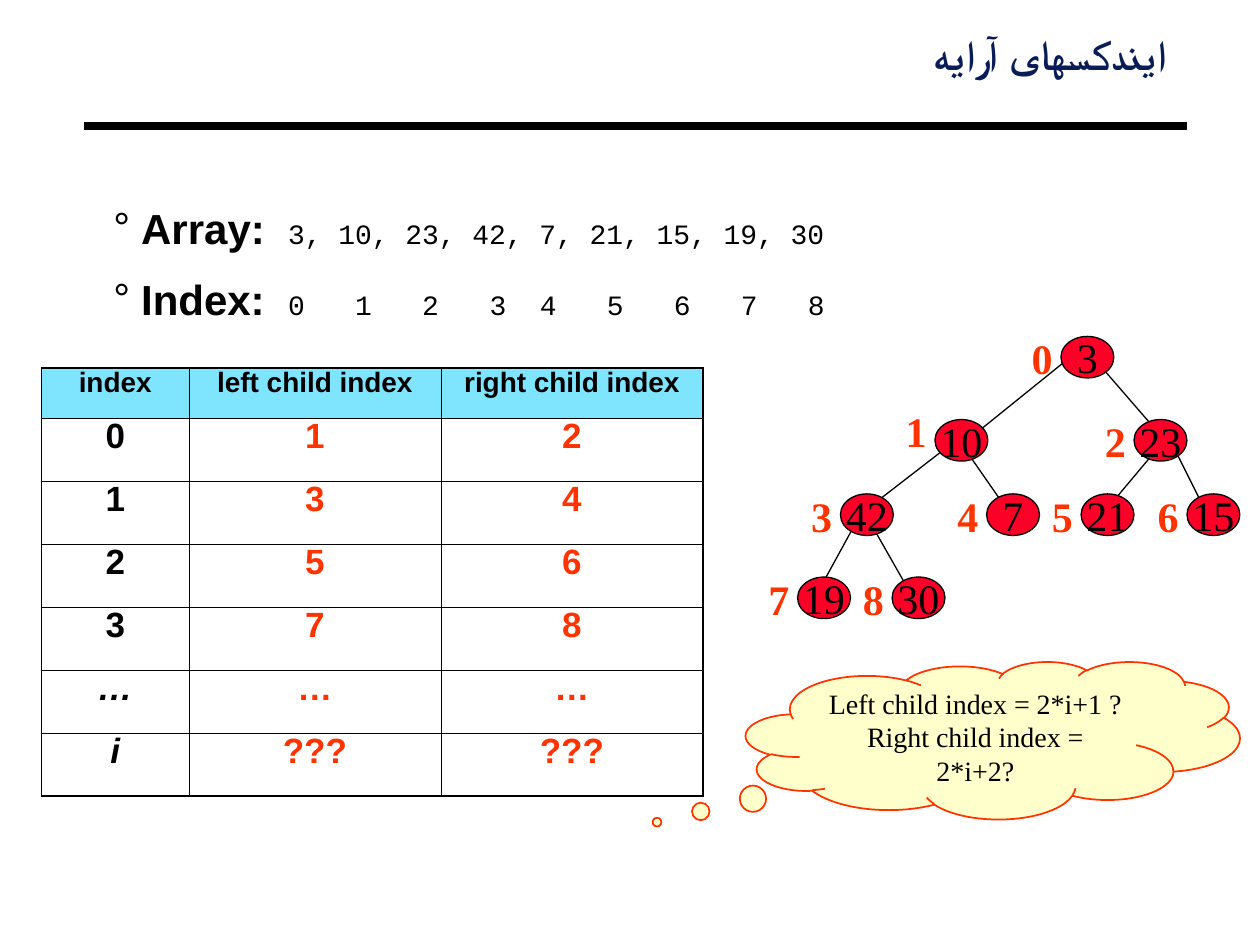
from dataclasses import dataclass
from typing import NamedTuple

from lxml import etree
from pptx import Presentation
from pptx import util as u
from pptx.dml.color import RGBColor
from pptx.enum import shapes, text
from pptx.oxml import ns


@dataclass(frozen=True)
class Theme:
    black: str = "000000"
    title: str = "081D58"
    node: str = "FC0128"
    accent: str = "FF3300"
    header: str = "00CCFF"
    cloud: str = "FFFFCC"
    sans: str = "Arial"
    serif: str = "Times New Roman"
    mono: str = "Courier New"
    large: int = 24
    medium: int = 20
    small: int = 16


class Node(NamedTuple):
    value: int
    left: float
    top: float
    label_rise: float = 0.08


class Edge(NamedTuple):
    x1: float
    y1: float
    x2: float
    y2: float


class Span(NamedTuple):
    words: str
    tracking: float = 0


THEME = Theme()
NODE_W, NODE_H = 0.42, 0.33

# Listed in array order, so a node's place is its index.
NODES = [
    Node(3, 8.42, 2.67), Node(10, 7.42, 3.33, 0.16), Node(23, 9, 3.33),
    Node(42, 6.67, 3.92), Node(7, 7.83, 3.92), Node(21, 8.58, 3.92),
    Node(15, 9.42, 3.92), Node(19, 6.33, 4.58), Node(30, 7.08, 4.58),
]
EDGES = [
    Edge(8.5, 2.83, 7.67, 3.5), Edge(7.58, 3.5, 6.83, 4.08),
    Edge(6.83, 4.08, 6.42, 4.83), Edge(6.92, 4.17, 7.25, 4.75),
    Edge(7.67, 3.58, 8.08, 4.17), Edge(8.67, 2.83, 9.25, 3.5),
    Edge(9.17, 3.58, 8.75, 4.08), Edge(9.33, 3.58, 9.58, 4.08),
]
LISTS = [
    ("Array:", [Span("3, 10, 23, 42, 7, 21, 15, 19, 30")]),
    ("Index:", [Span("0 1 2 ", 9.6), Span("3 ", 4.8), Span("4 5 6 7 8", 9.6)]),
]
ROWS = [
    ("index", "left child index", "right child index"),
    *((str(i), str(2 * i + 1), str(2 * i + 2)) for i in range(4)),
    ("…", "…", "…"),
    ("i", "???", "???"),
]
COLUMN_WIDTHS = (1.17, 2, 2.08)
HEADER_HEIGHT, ROW_HEIGHT = 0.4, 0.5


def style(font, face: str, size: int, color: str, bold: bool = False) -> None:
    font.name, font.size, font.bold = face, u.Pt(size), bold
    font.color.rgb = RGBColor.from_string(color)


def set_frame(frame, anchor, x: float = 0.1, y: float = 0.05, wrap: bool = True) -> None:
    frame.auto_size = text.MSO_AUTO_SIZE.NONE
    frame.word_wrap, frame.vertical_anchor = wrap, anchor
    frame.margin_left = frame.margin_right = u.Inches(x)
    frame.margin_top = frame.margin_bottom = u.Inches(y)


def place(shape, left: float, top: float, width: float, height: float) -> None:
    shape.left, shape.top = u.Inches(left), u.Inches(top)
    shape.width, shape.height = u.Inches(width), u.Inches(height)


def add_line(page, edge: Edge, weight: float) -> None:
    line = page.shapes.add_connector(
        shapes.MSO_CONNECTOR.STRAIGHT, *(u.Inches(v) for v in edge))
    line.line.color.rgb = RGBColor.from_string(THEME.black)
    line.line.width = u.Pt(weight)
    etree.SubElement(line._element.spPr, ns.qn("a:effectLst"))


def add_filled(page, kind, area: tuple, fill: str, outline: str, weight: float):
    shape = page.shapes.add_shape(kind, *(u.Inches(v) for v in area))
    shape.shadow.inherit = False
    shape.fill.solid()
    shape.fill.fore_color.rgb = RGBColor.from_string(fill)
    shape.line.color.rgb = RGBColor.from_string(outline)
    shape.line.width = u.Pt(weight)
    return shape


def write(frame, words: str, align, face: str, size: int, color: str, bold: bool = False):
    frame.text = words
    para = frame.paragraphs[0]
    para.alignment = align
    style(para.runs[0].font, face, size, color, bold)
    return para


def fill_title(page) -> None:
    title = page.shapes.title
    place(title, 0.83, 0.25, 8.5, 0.42)
    set_frame(title.text_frame, text.MSO_ANCHOR.TOP, 0.07, 0.03)
    para = write(title.text_frame, "ایندکسهای آرایه", text.PP_ALIGN.RIGHT,
                 THEME.sans, THEME.large, THEME.title, True)
    para.line_spacing = 0.87
    para._p.get_or_add_pPr().set("rtl", "1")
    properties = para.runs[0]._r.get_or_add_rPr()
    etree.SubElement(properties, ns.qn("a:cs"), typeface=THEME.sans)


def add_span(para, span: Span, face: str, size: int, bold: bool) -> None:
    run = para.add_run()
    run.text = span.words
    style(run.font, face, size, THEME.black, bold)
    if span.tracking:
        run._r.get_or_add_rPr().set("spc", str(round(span.tracking * 100)))


def fill_body(page) -> None:
    body = page.placeholders[1]
    place(body, 0.83, 1.5, 8.5, 4.5)
    frame = body.text_frame
    set_frame(frame, text.MSO_ANCHOR.TOP, 0.07, 0.03)
    for i, (heading, numbers) in enumerate(LISTS):
        para = frame.add_paragraph() if i else frame.paragraphs[0]
        para.line_spacing, para.space_before = 1.2, u.Pt(6 if i else 0)
        properties = para._p.get_or_add_pPr()
        properties.set("marL", str(u.Inches(0.22)))
        properties.set("indent", str(u.Inches(-0.22)))
        color = etree.SubElement(properties, ns.qn("a:buClr"))
        etree.SubElement(color, ns.qn("a:srgbClr"), val=THEME.black)
        etree.SubElement(properties, ns.qn("a:buChar"), char="°")
        for span in (Span(heading), Span(" ", 6.67)):
            add_span(para, span, THEME.sans, THEME.large, True)
        for span in numbers:
            add_span(para, span, THEME.mono, THEME.small, False)


def add_node(page, index: int, node: Node) -> None:
    area = (node.left, node.top, NODE_W, NODE_H)
    oval = add_filled(page, shapes.MSO_SHAPE.OVAL, area, THEME.node, THEME.black, 0.75)
    set_frame(oval.text_frame, text.MSO_ANCHOR.MIDDLE, wrap=False)
    write(oval.text_frame, str(node.value), text.PP_ALIGN.CENTER,
          THEME.serif, THEME.large, THEME.black)
    label = page.shapes.add_textbox(0, 0, 0, 0)
    place(label, node.left - 0.33, node.top - node.label_rise, 0.5, 0.5)
    set_frame(label.text_frame, text.MSO_ANCHOR.TOP)
    write(label.text_frame, str(index), text.PP_ALIGN.LEFT,
          THEME.serif, THEME.large, THEME.accent, True)


def set_borders(cell, outer: dict[str, bool]) -> None:
    """Draw the four sides, heavier where the side lies on the table's rim."""
    properties = cell._tc.get_or_add_tcPr()
    for side, on_rim in outer.items():
        weight = u.Pt(1.08 if on_rim else 0.45)
        line = etree.SubElement(properties, ns.qn(f"a:ln{side}"), w=str(weight))
        fill = etree.SubElement(line, ns.qn("a:solidFill"))
        etree.SubElement(fill, ns.qn("a:srgbClr"), val=THEME.black)


def add_index_table(page) -> None:
    height = HEADER_HEIGHT + ROW_HEIGHT * (len(ROWS) - 1)
    area = (0.33, 2.92, sum(COLUMN_WIDTHS), height)
    table = page.shapes.add_table(
        len(ROWS), len(COLUMN_WIDTHS), *(u.Inches(v) for v in area)).table
    table.first_row = table.horz_banding = False
    for column, width in zip(table.columns, COLUMN_WIDTHS):
        column.width = u.Inches(width)
    last_row, last_column = len(ROWS) - 1, len(COLUMN_WIDTHS) - 1
    for r, words in enumerate(ROWS):
        table.rows[r].height = u.Inches(ROW_HEIGHT if r else HEADER_HEIGHT)
        for c, word in enumerate(words):
            cell = table.cell(r, c)
            set_borders(cell, {"L": c == 0, "R": c == last_column,
                               "T": r == 0, "B": r == last_row})
            para = write(cell.text_frame, word, text.PP_ALIGN.CENTER, THEME.sans,
                         THEME.medium if r else THEME.small,
                         THEME.accent if r and c else THEME.black, True)
            para.line_spacing = 0.75
            para.runs[0].font.italic = c == 0 and word in ("…", "i")
            if r:
                cell.fill.background()
                continue
            cell.fill.solid()
            cell.fill.fore_color.rgb = RGBColor.from_string(THEME.header)
            color = cell._tc.tcPr.find(f"{ns.qn('a:solidFill')}/{ns.qn('a:srgbClr')}")
            etree.SubElement(color, ns.qn("a:alpha"), val="50000")


def add_cloud(page) -> None:
    cloud = add_filled(page, shapes.MSO_SHAPE.CLOUD_CALLOUT, (5.92, 5.25, 3.92, 1.25),
                       THEME.cloud, THEME.accent, 1)
    cloud.adjustments[0], cloud.adjustments[1] = -0.68, 0.52
    set_frame(cloud.text_frame, text.MSO_ANCHOR.MIDDLE)
    write(cloud.text_frame, "Left child index = 2*i+1 ? Right child index = 2*i+2?",
          text.PP_ALIGN.CENTER, THEME.serif, THEME.small, THEME.black)


def main() -> None:
    deck = Presentation()
    deck.slide_width, deck.slide_height = u.Inches(10), u.Inches(7.5)
    page = deck.slides.add_slide(deck.slide_layouts[1])
    add_line(page, Edge(0.67, 1, 9.42, 1), 4.5)
    fill_title(page)
    fill_body(page)
    for edge in EDGES:
        add_line(page, edge, 0.75)
    for index, node in enumerate(NODES):
        add_node(page, index, node)
    add_index_table(page)
    add_cloud(page)
    deck.save("out.pptx")


if __name__ == "__main__":
    main()
